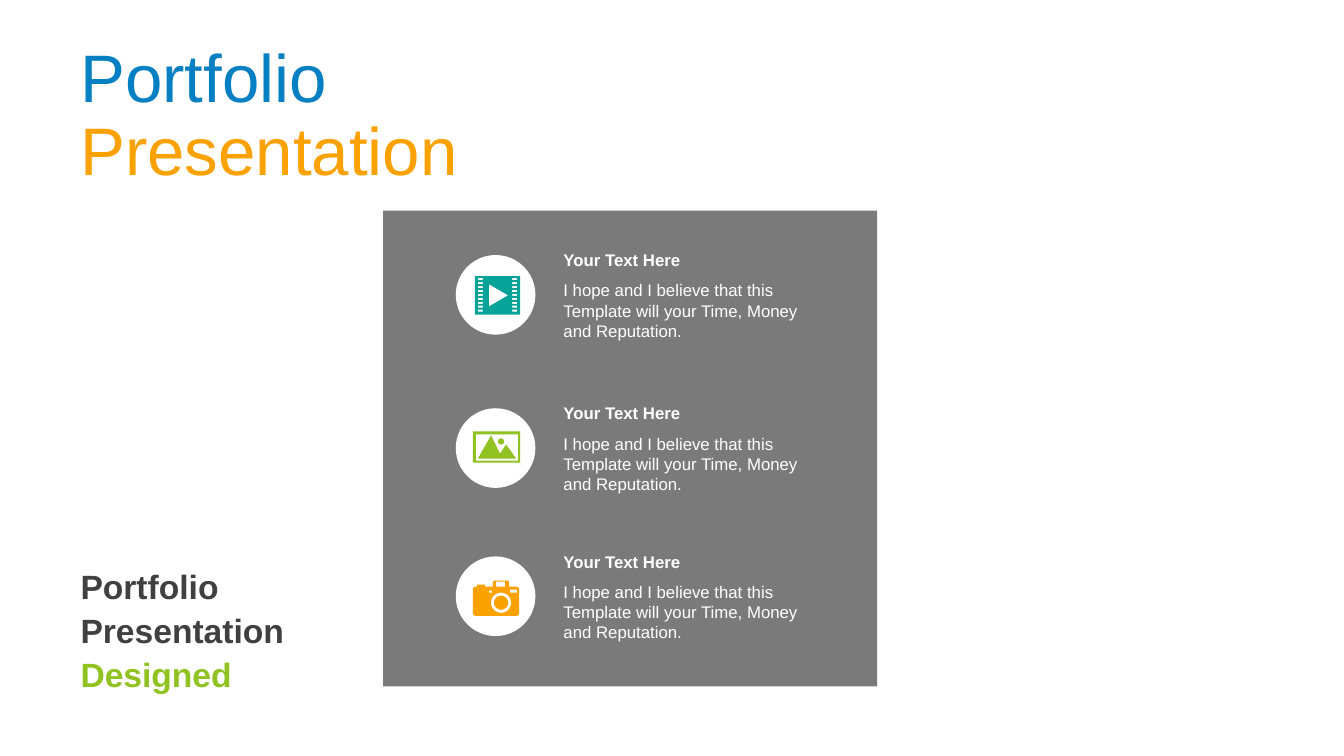
from math import cos, radians, sin

from lxml import etree
from pptx import Presentation
from pptx.dml.color import RGBColor
from pptx.enum.shapes import MSO_SHAPE
from pptx.enum.text import MSO_ANCHOR
from pptx.oxml.ns import qn
from pptx.util import Inches, Pt

RECT, OVAL = MSO_SHAPE.RECTANGLE, MSO_SHAPE.OVAL
TOP, MIDDLE = MSO_ANCHOR.TOP, MSO_ANCHOR.MIDDLE
COLORS = {
    "blue": "0680C3", "orange": "FBA200", "green": "90C221", "teal": "07A398",
    "panel": "595959", "dark": "404040", "white": "FFFFFF",
}

prs = Presentation()
prs.slide_width, prs.slide_height = Inches(13.33), Inches(7.5)
slide = prs.slides.add_slide(prs.slide_layouts[6])
shapes = slide.shapes


def arc(x, y, r, start=0, end=360):
    """Return points along a circle, in degrees clockwise from the right."""
    steps = max(4, (end - start) // 10)
    turns = [radians(start + (end - start) * i / steps) for i in range(steps + 1)]
    return [(x + r * cos(t), y + r * sin(t)) for t in turns]


def draw(color, contours):
    """Fill closed contours as one shape; two points stand for a box's corners."""
    build = None
    for points in contours:
        if len(points) == 2:
            (left, top), (right, low) = points
            points = [(left, top), (right, top), (right, low), (left, low)]
        first, *rest = [(Inches(x), Inches(y)) for x, y in points]
        if build is None:
            build = shapes.build_freeform(*first)
        else:
            build.move_to(*first)
        build.add_line_segments(rest, close=True)
    icon = build.convert_to_shape()
    icon.shadow.inherit = False
    icon.fill.solid()
    icon.fill.fore_color.rgb = RGBColor.from_string(COLORS[color])
    icon.line.fill.background()


# Panel and icon discs
rows = [2.53, 4.05, 5.52]
blocks = [(RECT, (3.8, 2.09, 4.9, 4.72), "panel")]
blocks += [(OVAL, (4.52, y, 0.79, 0.79), "white") for y in rows]
for kind, place, color in blocks:
    block = shapes.add_shape(kind, *map(Inches, place))
    block.shadow.inherit = False
    block.fill.solid()
    block.fill.fore_color.rgb = RGBColor.from_string(COLORS[color])
    block.line.fill.background()
    if color == "panel":
        tint = block.fill._xPr.find(".//" + qn("a:srgbClr"))
        etree.SubElement(tint, qn("a:alpha"), val="80000")

# Texts: place, anchor, line spacing, font values, coloured runs
title = {"size": Pt(48), "bold": False}
tag = {"size": Pt(24), "bold": True}
head = {"size": Pt(12), "bold": True}
body = {"size": Pt(12), "bold": False}
words = "I hope and I believe that this Template will your Time, Money and Reputation."
texts = [
    ((0.7, 0.26, 4.13, 1.81), MIDDLE, 0.9, title,
     [("Portfolio ", "blue"), ("Presentation", "orange")]),
    ((0.7, 5.38, 2.58, 1.7), MIDDLE, 1.1, tag,
     [("Portfolio Presentation ", "dark"), ("Designed", "green")]),
]
for y in rows:
    texts += [
        ((5.49, y - 0.1, 2.63, 0.3), TOP, 1.0, head, [("Your Text Here", "white")]),
        ((5.49, y + 0.2, 2.63, 0.71), TOP, 1.0, body, [(words, "white")]),
    ]
for place, anchor, space, style, runs in texts:
    frame = shapes.add_textbox(*map(Inches, place)).text_frame
    frame.word_wrap = True
    frame.vertical_anchor = anchor
    para = frame.paragraphs[0]
    para.line_spacing = space
    for label, color in runs:
        run = para.add_run()
        run.text = label
        run.font.name = "Arial"
        run.font.color.rgb = RGBColor.from_string(COLORS[color])
        for name, value in style.items():
            setattr(run.font, name, value)

# Film strip with nine holes down each side
holes = [
    [(x, 2.76 + 0.039 * i), (x + 0.05, 2.78 + 0.039 * i)]
    for x in (4.74, 5.08) for i in range(9)
]
play = [(4.85, 2.82), (4.85, 3.04), (5.04, 2.93)]
draw("teal", [[(4.71, 2.74), (5.16, 3.12)], play, *holes])

# Framed landscape
hills = [(4.87, 4.32), (4.96, 4.5), (5.02, 4.41), (5.12, 4.55), (4.74, 4.55)]
draw("green", [
    [(4.69, 4.28), (5.16, 4.59)],
    [(4.72, 4.31), (5.14, 4.57)],
    hills,
    arc(4.97, 4.38, 0.03),
])

# Camera
case = [
    (4.73, 5.82), (4.73, 5.8), (4.81, 5.8), (4.81, 5.82),
    (4.89, 5.82), (4.89, 5.77), (4.9, 5.76), (5.04, 5.76), (5.05, 5.77), (5.05, 5.82),
]
corners = [(5.12, 5.85), (5.12, 6.08), (4.72, 6.08), (4.72, 5.85)]
for i, (x, y) in enumerate(corners):
    case += arc(x, y, 0.03, 90 * i - 90, 90 * i)
draw("orange", [
    case,
    arc(4.97, 5.98, 0.1),
    arc(4.97, 5.98, 0.07),
    [(4.85, 5.86), (4.88, 5.88)],
    [(5.06, 5.85), (5.13, 5.88)],
    [(4.92, 5.77), (5.01, 5.82)],
])

prs.save("out.pptx")
